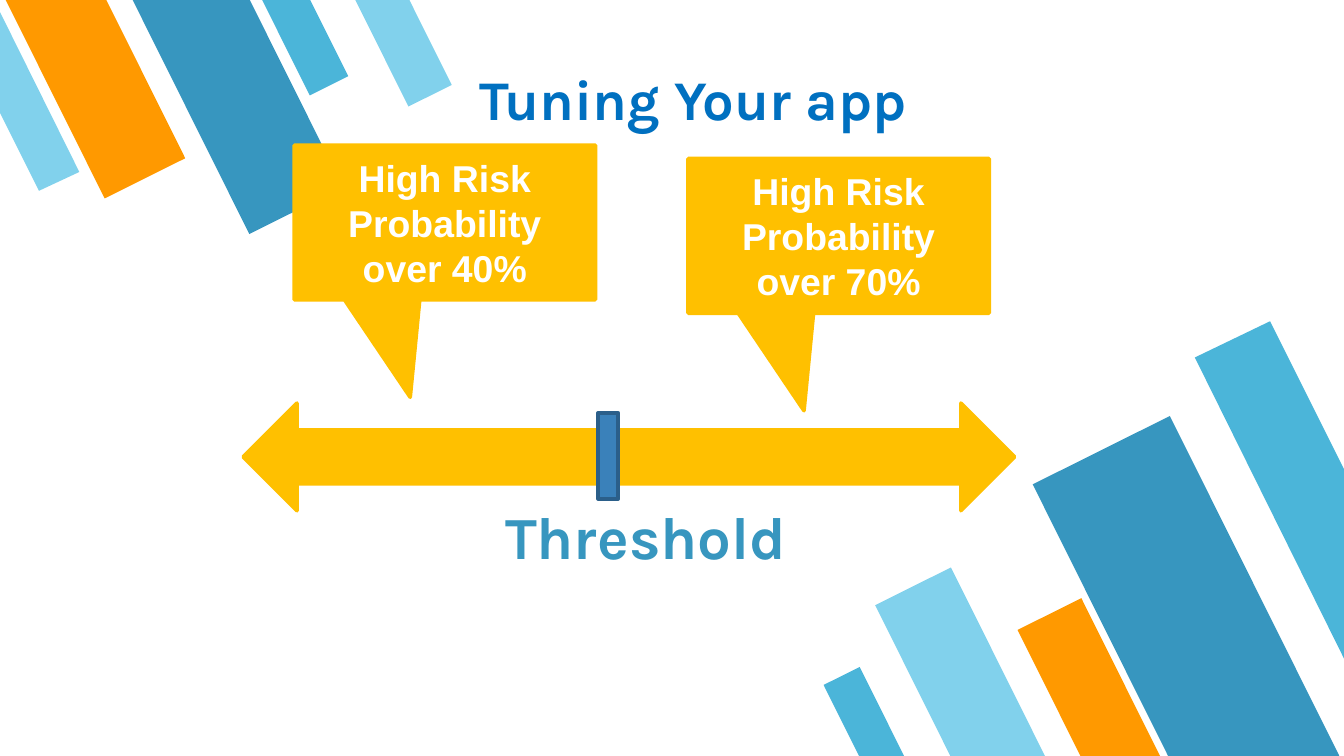
from pptx import Presentation
from pptx.dml.color import RGBColor
from pptx.enum.shapes import MSO_SHAPE
from pptx.enum.text import MSO_ANCHOR, PP_ALIGN
from pptx.util import Inches, Pt

RIBBON = MSO_SHAPE.FLOWCHART_MANUAL_INPUT
ARROW = MSO_SHAPE.LEFT_RIGHT_ARROW
MARKER = MSO_SHAPE.RECTANGLE
CALLOUT = MSO_SHAPE.RECTANGULAR_CALLOUT
BOTTOM, MIDDLE = MSO_ANCHOR.BOTTOM, MSO_ANCHOR.MIDDLE
LEFT, CENTER = PP_ALIGN.LEFT, PP_ALIGN.CENTER

WHITE = RGBColor(0xFF, 0xFF, 0xFF)
PALE = RGBColor(0x81, 0xD1, 0xEC)
SKY = RGBColor(0x4B, 0xB5, 0xD9)
TEAL = RGBColor(0x37, 0x96, 0xBF)
ORANGE = RGBColor(0xFF, 0x99, 0x00)
AMBER = RGBColor(0xFF, 0xC0, 0x00)
TITLE_BLUE = RGBColor(0x00, 0x70, 0xC0)
MARKER_BLUE = RGBColor(0x3A, 0x81, 0xBA)
MARKER_EDGE = RGBColor(0x2B, 0x5F, 0x8A)

# The slide is a grid of 100 columns by 56.25 rows with square cells
COLUMNS, ROWS = 100, 56.25
SLIDE_WIDTH = Inches(10)
CELL = SLIDE_WIDTH // COLUMNS
RIBBON_RATIO = 2.5


def cells(*counts):
    return [round(count * CELL) for count in counts]


def paint(shape, fill, line=None):
    shape.shadow.inherit = False
    shape.fill.solid()
    shape.fill.fore_color.rgb = fill
    if line is None:
        shape.line.fill.background()
    else:
        shape.line.color.rgb = line
        shape.line.width = Pt(2)


def write(frame, lines, align, anchor, size, font, color):
    frame.word_wrap = True
    frame.vertical_anchor = anchor
    formats = {"size": Pt(size), "name": font, "bold": True}
    for index, line in enumerate(lines):
        para = frame.paragraphs[0] if index == 0 else frame.add_paragraph()
        para.alignment = align
        span = para.add_run()
        span.text = line
        for name, value in formats.items():
            setattr(span.font, name, value)
        span.font.color.rgb = color


def add_ribbons(page, box, angle, ribbons, edge_points, edge_color):
    """Slanted ribbons, with one more cut off by the slide's edge."""
    left, top = box[:2]
    for x, y, width, color in ribbons:
        ribbon = page.shapes.add_shape(
            RIBBON, *cells(left + x, top + y, width, width * RIBBON_RATIO))
        ribbon.rotation = angle
        ribbon._element.spPr.xfrm.set("flipH", "1")
        paint(ribbon, color)
    corners = [cells(left + x, top + y) for x, y in edge_points]
    builder = page.shapes.build_freeform(*corners[0])
    builder.add_line_segments(corners[1:], close=True)
    paint(builder.convert_to_shape(), edge_color)


def add_heading(page, box, text, size, color):
    heading = page.shapes.add_textbox(*cells(*box))
    frame = heading.text_frame
    for side in ("left", "top", "right", "bottom"):
        setattr(frame, f"margin_{side}", CELL)
    write(frame, [text], LEFT, BOTTOM, size, "Karla", color)


def add_scale(page, box):
    """Double arrow with the threshold marker across it."""
    left, top, width, height = box
    arrow = page.shapes.add_shape(ARROW, *cells(*box))
    paint(arrow, AMBER, AMBER)
    marker = page.shapes.add_shape(MARKER, *cells(
        left + 0.46 * width, top + 0.09 * height, 1.5, 0.8 * height))
    paint(marker, MARKER_BLUE, MARKER_EDGE)


def add_callout(page, box, lines):
    callout = page.shapes.add_shape(CALLOUT, *cells(*box))
    callout.adjustments[0] = -0.115
    callout.adjustments[1] = 1.131
    paint(callout, AMBER, AMBER)
    write(callout.text_frame, lines, CENTER, MIDDLE, 20, "Arial", WHITE)


def main():
    deck = Presentation()
    deck.slide_width = SLIDE_WIDTH
    deck.slide_height = round(ROWS * CELL)
    page = deck.slides.add_slide(deck.slide_layouts[6])

    # Corner decoration: bottom right, then top left
    add_ribbons(
        page, (60, 20, 40, 36.25), 153.5,
        [(8.3, 22.8, 6.3, PALE), (22.6, 12, 11.4, TEAL),
         (18.4, 25, 5.3, ORANGE), (2.8, 29.9, 3, SKY)],
        [(34.5, 3.9), (28.9, 6.6), (40, 29), (40, 14.9)], SKY)
    add_ribbons(
        page, (0, 0, 34, 18), 333.5,
        [(21.1, -1.2, 3.2, SKY), (3.7, -2.6, 6.7, ORANGE),
         (13.8, -2.8, 7.8, TEAL), (28.2, -1.4, 3.6, PALE)],
        [(2.9, 14.2), (5.9, 12.8), (0, 0.9), (0, 8.4)], PALE)

    # Threshold scale and headings
    add_scale(page, (18.1, 30, 57.4, 8))
    add_heading(page, (34.7, 3.4, 63, 7.4), "Tuning Your app", 30, TITLE_BLUE)
    add_heading(page, (36.6, 38, 23, 5.5), "Threshold", 32, TEAL)

    # Callouts on either side of the threshold
    for left, top, share in ((51.2, 11.8, 70), (21.9, 10.8, 40)):
        add_callout(page, (left, top, 22.4, 11.5),
                    ["High Risk Probability", f"over {share}%"])

    deck.save("out.pptx")


if __name__ == "__main__":
    main()
